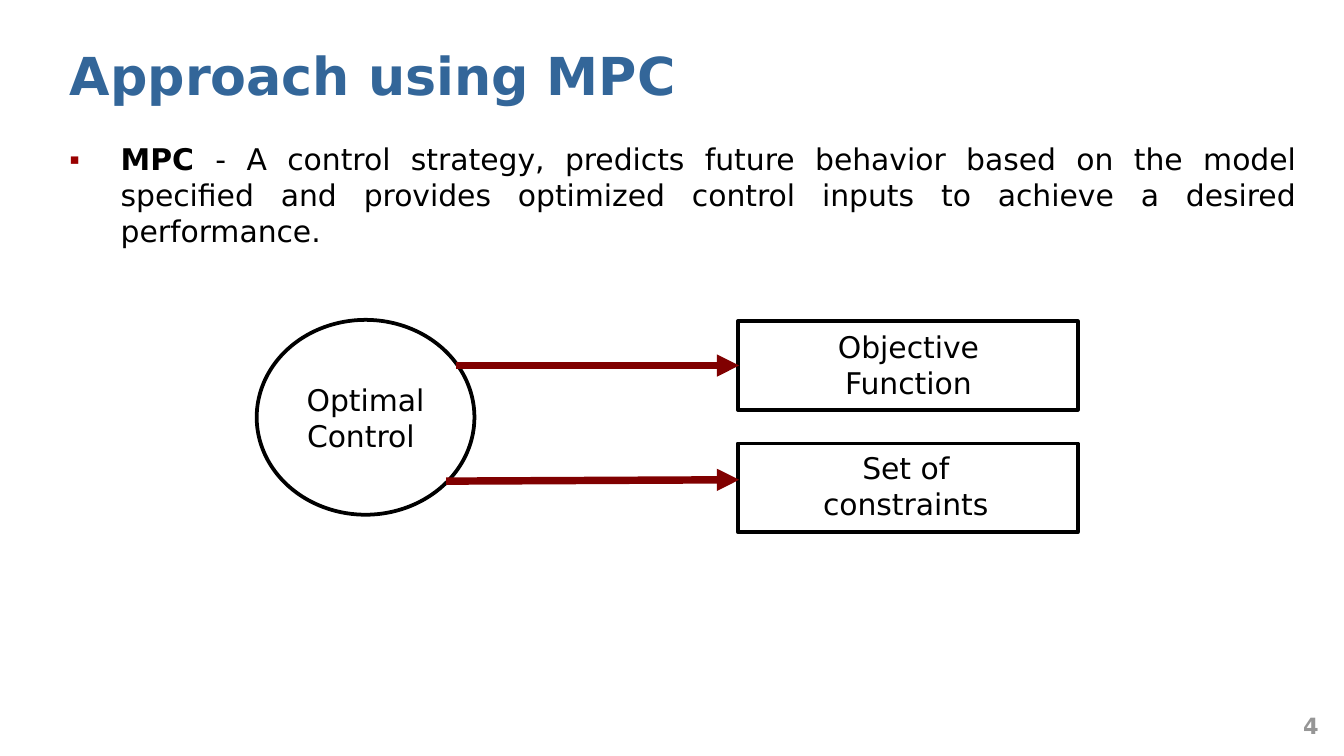
"""Build the slide that introduces model predictive control (MPC)."""
from lxml import etree
from pptx import Presentation
from pptx import util as u
from pptx.dml.color import RGBColor
from pptx.enum import shapes, text
from pptx.oxml import ns

FONT = "DejaVu Sans"
TITLE_BLUE = RGBColor(0x33, 0x66, 0x99)
ARROW_RED = RGBColor(0x80, 0x00, 0x00)
BULLET_RED = RGBColor(0x9A, 0x00, 0x00)
BLACK = RGBColor(0x00, 0x00, 0x00)
NUMBER_GREY = RGBColor(0x96, 0x96, 0x96)


def style(paragraph, size, color, align, bold=False):
    paragraph.alignment = align
    for run in paragraph.runs:
        run.font.name = FONT
        run.font.size = u.Pt(size)
        run.font.bold = bold
        run.font.color.rgb = color


def add_text(words, box, size=16, color=BLACK, align=text.PP_ALIGN.CENTER, bold=False):
    frame = slide.shapes.add_textbox(*map(u.Inches, box)).text_frame
    frame.word_wrap = True
    frame.text = words
    style(frame.paragraphs[0], size, color, align, bold)
    return frame.paragraphs[0]


deck = Presentation()
deck.slide_width = u.Inches(10)
deck.slide_height = u.Inches(10) * 9 // 16
slide = deck.slides.add_slide(deck.slide_layouts[5])

heading = slide.shapes.title
heading.left, heading.top = u.Inches(0.42), u.Inches(0.27)
heading.width, heading.height = u.Inches(9.35), u.Inches(0.57)
heading.text_frame.text = "Approach using MPC"
heading.text_frame.auto_size = text.MSO_AUTO_SIZE.NONE
heading.text_frame.vertical_anchor = text.MSO_ANCHOR.TOP
style(heading.text_frame.paragraphs[0], 28, TITLE_BLUE, text.PP_ALIGN.LEFT, True)

definition = add_text("MPC ", (0.42, 1, 9.33, 4.31))
definition.add_run().text = (
    "- A control strategy, predicts future behavior based on the model specified "
    "and provides optimized control inputs to achieve a desired performance."
)
style(definition, 16, BLACK, text.PP_ALIGN.JUSTIFY)
definition.runs[0].font.bold = True
definition.space_before = u.Pt(3.2)
indent = definition._p.get_or_add_pPr()
indent.set("marL", str(u.Inches(0.38)))
indent.set("indent", str(-u.Inches(0.38)))
bullet_color = etree.SubElement(indent, ns.qn("a:buClr"))
etree.SubElement(bullet_color, ns.qn("a:srgbClr"), val=str(BULLET_RED))
etree.SubElement(indent, ns.qn("a:buSzPct"), val="50000")
etree.SubElement(indent, ns.qn("a:buFont"), typeface=FONT)
etree.SubElement(indent, ns.qn("a:buChar"), char="▪")

add_text("4", (7.58, 5.25, 2.33, 0.4), 12, NUMBER_GREY, text.PP_ALIGN.RIGHT, True)

nodes = [
    (shapes.MSO_SHAPE.OVAL, (1.91, 2.38, 1.62, 1.45), "Optimal Control ", (2.11, 2.79, 1.22, 0.64)),
    (shapes.MSO_SHAPE.RECTANGLE, (5.49, 2.39, 2.53, 0.66), "Objective Function", (5.91, 2.4, 1.7, 0.64)),
    (shapes.MSO_SHAPE.RECTANGLE, (5.49, 3.3, 2.53, 0.66), "Set of constraints", (5.89, 3.3, 1.7, 0.64)),
]
for kind, outline_box, label, label_box in nodes:
    outline = slide.shapes.add_shape(kind, *map(u.Inches, outline_box))
    outline.shadow.inherit = False
    outline.fill.background()
    outline.line.color.rgb = BLACK
    outline.line.width = u.Pt(2)
    add_text(label, label_box)

for ends in [(3.39, 2.72, 5.5, 2.72), (3.32, 3.58, 5.5, 3.57)]:
    arrow = slide.shapes.add_connector(shapes.MSO_CONNECTOR.STRAIGHT, *map(u.Inches, ends))
    arrow.line.color.rgb = ARROW_RED
    arrow.line.width = u.Pt(4)
    etree.SubElement(arrow.line._get_or_add_ln(), ns.qn("a:tailEnd"), type="triangle")
    etree.SubElement(arrow._element.spPr, ns.qn("a:effectLst"))

deck.save("out.pptx")
